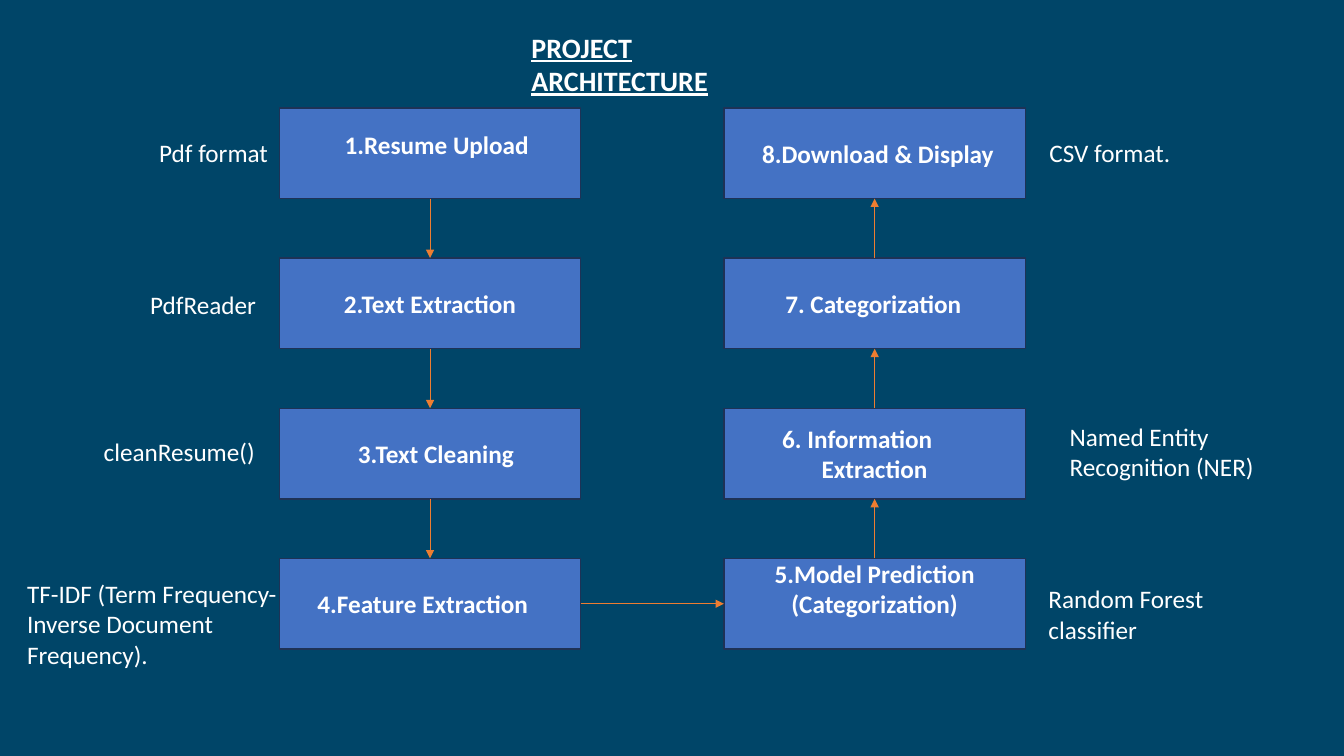
from lxml.etree import SubElement
from pptx import Presentation
from pptx.dml.color import RGBColor
from pptx.enum.shapes import MSO_CONNECTOR, MSO_SHAPE
from pptx.enum.text import MSO_ANCHOR, PP_ALIGN
from pptx.oxml.ns import qn
from pptx.util import Inches, Pt

COLORS = {
    "background": "004568",
    "step": "4472C4",
    "outline": "1E3256",
    "arrow": "ED7D31",
    "text": "FFFFFF",
}
COLUMNS = (2.77, 7.18)
FIRST_ROW, ROW_STEP = 1.07, 1.49
STEP_WIDTH, STEP_HEIGHT = 2.99, 0.9
BOTTOM, RIGHT, TOP, LEFT = 2, 3, 0, 1


def color(name):
    return RGBColor.from_string(COLORS[name])


def write(frame, text, size=18, bold=False, align=PP_ALIGN.LEFT):
    """Fill a text frame with one styled, wrapping paragraph and return it."""
    frame.word_wrap = True
    frame.text = text
    paragraph = frame.paragraphs[0]
    paragraph.alignment = align
    font = paragraph.runs[0].font
    font.name, font.size, font.bold = "Calibri", Pt(size), bold
    font.color.rgb = color("text")
    return paragraph


prs = Presentation()
prs.slide_width, prs.slide_height = Inches(13.33), Inches(7.5)
slide = prs.slides.add_slide(prs.slide_layouts[5])
slide.background.fill.solid()
slide.background.fill.fore_color.rgb = color("background")

title = slide.shapes.title
title.left, title.top = Inches(5.17), Inches(0.25)
title.width, title.height = Inches(2.9), Inches(0.75)
title.text_frame.vertical_anchor = MSO_ANCHOR.TOP
heading = write(title.text_frame, "PROJECT ARCHITECTURE", size=20, bold=True)
heading.runs[0].font.underline = True

# Steps in flow order: text, left margin (None = centred), first-line indent
steps = [
    ("", None, 0),
    ("2.Text Extraction", None, 0),
    ("3.Text Cleaning", 0.68, 0),
    ("4.Feature Extraction", 0.28, 0),
    ("5.Model Prediction (Categorization)", None, 0),
    ("6. Information Extraction", 0.87, -0.39),
    ("7. Categorization", 0.51, 0),
    ("8.Download & Display", 0.28, 0),
]
boxes = []
for index, (text, margin, indent) in enumerate(steps):
    column, row = (0, index) if index < 4 else (1, 7 - index)
    box = slide.shapes.add_shape(
        MSO_SHAPE.RECTANGLE,
        Inches(COLUMNS[column]), Inches(FIRST_ROW + row * ROW_STEP),
        Inches(STEP_WIDTH), Inches(STEP_HEIGHT))
    box.shadow.inherit = False
    box.fill.solid()
    box.fill.fore_color.rgb = color("step")
    box.line.color.rgb = color("outline")
    box.line.width = Pt(1)
    boxes.append(box)
    if not text:
        continue
    box.text_frame.vertical_anchor = MSO_ANCHOR.MIDDLE
    align = PP_ALIGN.CENTER if margin is None else PP_ALIGN.LEFT
    paragraph = write(box.text_frame, text, bold=True, align=align)
    if margin is not None:
        properties = paragraph._p.get_or_add_pPr()
        properties.set("marL", str(Inches(margin)))
        properties.set("indent", str(Inches(indent)))

model_prediction = boxes[4]
model_prediction.text_frame.margin_bottom = Inches(0.35)

# Down the left column, across, then up the right column
sides = [(BOTTOM, TOP)] * 3 + [(RIGHT, LEFT)] + [(TOP, BOTTOM)] * 3
for source, target, (leave, enter) in zip(boxes, boxes[1:], sides):
    arrow = slide.shapes.add_connector(MSO_CONNECTOR.STRAIGHT, 0, 0, 0, 0)
    arrow.begin_connect(source, leave)
    arrow.end_connect(target, enter)
    arrow.line.color.rgb = color("arrow")
    arrow.line.width = Pt(0.5)
    SubElement(arrow.line._get_or_add_ln(), qn("a:tailEnd"), type="triangle")
    SubElement(arrow._element.spPr, qn("a:effectLst"))

# Text, left, top, width, height, bold
labels = [
    ("1.Resume Upload", 3.32, 1.23, 3.74, 0.4, True),
    ("Pdf format", 1.48, 1.31, 1.35, 0.4, False),
    ("PdfReader", 1.39, 2.82, 1.47, 0.4, False),
    ("cleanResume()", 0.93, 4.28, 1.84, 0.4, False),
    ("TF-IDF (Term Frequency-Inverse Document Frequency).",
     0.17, 5.69, 2.69, 1.01, False),
    ("Random Forest classifier", 10.3, 5.74, 1.94, 0.71, False),
    ("Named Entity Recognition (NER)", 10.51, 4.13, 2.69, 0.71, False),
    ("CSV format.", 10.31, 1.31, 1.54, 0.4, False),
]
for text, *place, bold in labels:
    label = slide.shapes.add_textbox(*map(Inches, place))
    write(label.text_frame, text, bold=bold)

prs.save("out.pptx")
